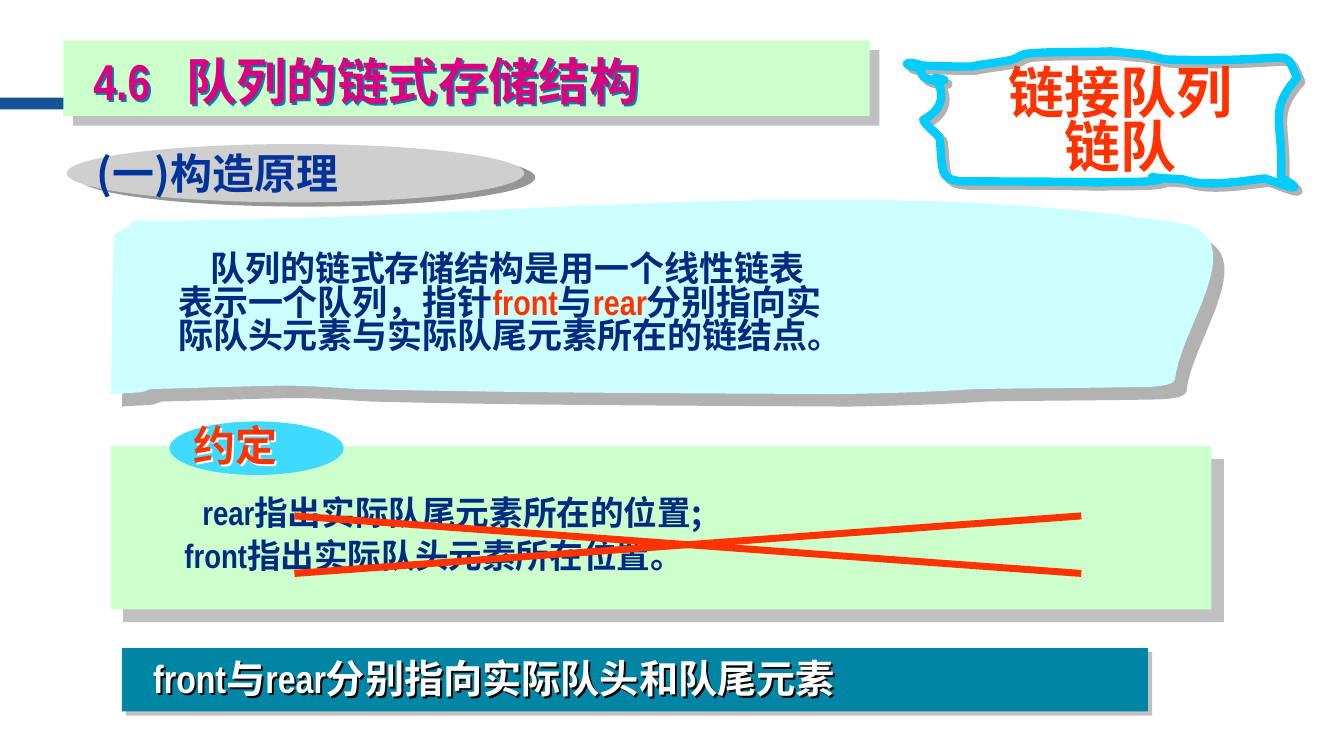
from dataclasses import dataclass

from lxml import etree
from pptx import Presentation
from pptx.dml.color import RGBColor
from pptx.enum.shapes import MSO_CONNECTOR, MSO_SHAPE
from pptx.enum.text import MSO_ANCHOR, MSO_AUTO_SIZE, PP_ALIGN
from pptx.oxml.ns import qn
from pptx.util import Cm, Pt

RECTANGLE, OVAL = MSO_SHAPE.RECTANGLE, MSO_SHAPE.OVAL
STRAIGHT = MSO_CONNECTOR.STRAIGHT
TOP = MSO_ANCHOR.TOP
GROW = MSO_AUTO_SIZE.SHAPE_TO_FIT_TEXT
LEFT, CENTER = PP_ALIGN.LEFT, PP_ALIGN.CENTER


@dataclass(frozen=True)
class Theme:
    latin: str = "Arial Narrow"
    chinese: str = "Noto Sans CJK SC"
    bar: str = "145396"
    green: str = "CCFFCC"
    pale: str = "CCFFFF"
    gray: str = "CFCFCF"
    sky: str = "3FDAFF"
    teal: str = "0085A4"
    outline: str = "00CCFF"
    red: str = "FF3300"
    magenta: str = "DC0081"
    navy: str = "002B80"
    blue: str = "003399"
    white: str = "FFFFFF"
    black: str = "000000"
    light_shadow: str = "C0C0C0"
    mid_shadow: str = "B2B2B2"
    dark_shadow: str = "969696"
    banner_size: int = 40
    title_size: int = 36
    heading_size: int = 30
    conclusion_size: int = 28
    body_size: int = 25
    rule_size: int = 24


THEME = Theme()

# Outlines in hundredths of an inch: a start, then cubic curves
SCROLL_START = (131, 219)
SCROLL_CURVES = [
    (477, 220, 832, 170, 1168, 221), (1247, 233, 1171, 324, 1166, 376),
    (1165, 383, 1144, 384, 1132, 384), (1077, 385, 1023, 385, 968, 386),
    (919, 389, 889, 390, 830, 391), (673, 390, 515, 390, 357, 386),
    (275, 381, 301, 382, 149, 386), (146, 386, 144, 389, 141, 389),
    (131, 390, 121, 390, 110, 391), (111, 340, 111, 289, 113, 238),
    (113, 226, 131, 229, 131, 219),
]
BANNER_START = (928, 77)
BANNER_CURVES = [
    (937, 91, 938, 107, 916, 119), (920, 126, 927, 130, 932, 136),
    (934, 147, 933, 159, 936, 170), (938, 176, 942, 179, 956, 180),
    (1001, 180, 1045, 180, 1090, 181), (1106, 180, 1122, 181, 1138, 180),
    (1182, 176, 1103, 174, 1174, 178), (1196, 186, 1230, 180, 1255, 177),
    (1259, 178, 1278, 186, 1283, 186), (1287, 186, 1281, 182, 1279, 181),
    (1277, 179, 1274, 178, 1271, 177), (1274, 119, 1257, 112, 1287, 77),
    (1271, 44, 1295, 63, 1158, 59), (1149, 58, 1143, 55, 1134, 54),
    (1123, 53, 1102, 51, 1102, 51), (1075, 52, 1047, 51, 1021, 53),
    (1014, 53, 1011, 57, 1005, 59), (993, 62, 977, 63, 964, 66),
    (948, 66, 932, 66, 916, 65), (911, 64, 902, 61, 900, 63),
    (898, 65, 908, 66, 912, 68), (915, 71, 913, 76, 920, 78),
    (924, 80, 932, 81, 936, 80), (940, 79, 931, 78, 928, 77),
]


def apply(target, values):
    for name, value in values.items():
        setattr(target, name, value)


def add_shadow(shape, color, distance, angle):
    shape.shadow.inherit = False
    effects = shape._element.spPr.find(qn("a:effectLst"))
    shadow = etree.SubElement(effects, qn("a:outerShdw"), dist=str(Pt(distance)),
                              dir=str(angle * 60000), algn="ctr", rotWithShape="0")
    etree.SubElement(shadow, qn("a:srgbClr"), val=color)


def style_shape(shape, fill=None, line=None, shadow=None):
    if fill:
        shape.fill.solid()
        shape.fill.fore_color.rgb = RGBColor.from_string(fill)
    else:
        shape.fill.background()
    if line:
        shape.line.color.rgb = RGBColor.from_string(line)
        shape.line.width = Pt(6)
    else:
        shape.line.fill.background()
    shape.shadow.inherit = False
    if shadow:
        add_shadow(shape, *shadow)


def add_panel(page, kind, place, fill, shadow=None):
    shape = page.shapes.add_shape(kind, *map(Cm, place))
    style_shape(shape, fill, shadow=shadow)


def add_curved(page, start, curves, **style):
    unit = Cm(0.0254)
    points = [(curve[i] * unit, curve[i + 1] * unit) for curve in curves for i in (0, 2, 4)]
    builder = page.shapes.build_freeform(start[0] * unit, start[1] * unit)
    builder.add_line_segments(points, close=True)
    shape = builder.convert_to_shape()
    # Every three straight segments become one cubic curve
    segments = list(shape._element.iter(qn("a:lnTo")))
    for first in range(0, len(points), 3):
        cubic = etree.Element(qn("a:cubicBezTo"))
        segments[first].addprevious(cubic)
        for segment in segments[first:first + 3]:
            cubic.append(segment[0])
            segment.getparent().remove(segment)
    style_shape(shape, **style)


def add_span(para, text, size, color, font):
    span = para.add_run()
    span.text = text
    apply(span.font, {"size": Pt(size), "bold": True, "name": font})
    span.font.color.rgb = RGBColor.from_string(color)
    east = etree.Element(qn("a:ea"), typeface=THEME.chinese)
    span.font._element.find(qn("a:latin")).addnext(east)


def fill_text(box, place, lines, size, color, *, inset=0.25, wrap=True, shadow=None, **layout):
    """Each line is a list of (text, font) or (text, font, color) spans."""
    apply(box, dict(zip(("left", "top", "width", "height"), map(Cm, place))))
    if shadow:
        box.fill.background()
        add_shadow(box, shadow, 2, 45)
    frame = box.text_frame
    apply(frame, {"word_wrap": wrap, "auto_size": GROW, "vertical_anchor": TOP,
                  "margin_left": Cm(inset)})
    for number, line in enumerate(lines):
        para = frame.add_paragraph() if number else frame.paragraphs[0]
        apply(para, {"alignment": LEFT, **layout})
        for text, font, *accent in line:
            add_span(para, text, size, accent[0] if accent else color, font)
    return frame


def add_text(page, place, *content, **layout):
    return fill_text(page.shapes.add_textbox(0, 0, 0, 0), place, *content, **layout)


def add_stroke(page, *ends):
    stroke = page.shapes.add_connector(STRAIGHT, *map(Cm, ends))
    stroke.line.color.rgb = RGBColor.from_string(THEME.red)
    stroke.line.width = Pt(5)
    etree.SubElement(stroke._element.spPr, qn("a:effectLst"))


def main():
    deck = Presentation()
    apply(deck, {"slide_width": Cm(33.87), "slide_height": Cm(19.05)})
    page = deck.slides.add_slide(deck.slide_layouts[5])
    latin, chinese = THEME.latin, THEME.chinese

    # Edge bar and explanation
    add_panel(page, RECTANGLE, (0, 2.46, 9.45, 0.3), THEME.bar)
    add_curved(page, SCROLL_START, SCROLL_CURVES, fill=THEME.pale,
               shadow=(THEME.mid_shadow, 12, 48))
    frame = add_text(page, (4.24, 6.3, 25.76, 2.79), [
        [("队列的链式存储结构是用一个线性链表", chinese)],
        [("表示一个队列，指针", chinese), ("front", latin, THEME.red), ("与", chinese),
         ("rear", latin, THEME.red), ("分别指向实", chinese)],
        [("际队头元素与实际队尾元素所在的链结点。", chinese)],
    ], THEME.body_size, THEME.navy, line_spacing=0.8)
    frame.paragraphs[0]._p.get_or_add_pPr().set("indent", str(Cm(0.81)))

    # Title, raised above its panel
    add_panel(page, RECTANGLE, (1.6, 1.02, 20.32, 1.9), THEME.green, (THEME.light_shadow, 9.9, 45))
    title = page.shapes.title
    page.shapes._spTree.append(title._element)
    frame = fill_text(title, (1.8, 1.14, 21.54, 1.78), [[("4.6\t队列的链式存储结构", latin)]],
                      THEME.title_size, THEME.magenta, inset=0.55, shadow=THEME.teal)
    tabs = etree.SubElement(frame.paragraphs[0]._p.get_or_add_pPr(), qn("a:tabLst"))
    etree.SubElement(tabs, qn("a:tab"), pos=str(Cm(2.34)), algn="l")

    # Section heading
    add_panel(page, OVAL, (1.68, 3.63, 11.53, 1.47), THEME.gray, (THEME.dark_shadow, 8.5, 21))
    add_text(page, (2.18, 3.6, 10.41, 1.55), [[("(一)构造原理", chinese)]],
             THEME.heading_size, THEME.blue)

    # Convention, crossed out
    add_panel(page, RECTANGLE, (2.79, 11.25, 27.74, 4.11), THEME.green,
              (THEME.light_shadow, 12.7, 45))
    add_text(page, (4.85, 12.27, 21.03, 1.27),
             [[("rear", latin), ("指出实际队尾元素所在的位置;", chinese)]],
             THEME.rule_size, THEME.navy)
    add_text(page, (4.22, 13.36, 13.72, 1.3),
             [[("front", latin), ("指出实际队头元素所在位置。", chinese)]],
             THEME.rule_size, THEME.navy, inset=0.43, wrap=False)
    add_panel(page, OVAL, (4.27, 10.62, 4.39, 1.35), THEME.sky)
    add_text(page, (4.62, 10.44, 4.52, 1.52), [[("约定", latin)]],
             THEME.heading_size, THEME.red, shadow=THEME.white)
    add_stroke(page, 7.42, 13, 27.25, 14.45)

    # Banner with the short names
    add_curved(page, BANNER_START, BANNER_CURVES, line=THEME.outline,
               shadow=(THEME.mid_shadow, 4.2, 45))
    add_text(page, (23.67, 1.65, 9.12, 2.97), [[("链接队列", latin)], [("链队", latin)]],
             THEME.banner_size, THEME.red, alignment=CENTER, line_spacing=0.8)

    # Second stroke of the cross
    add_stroke(page, 27.25, 13, 7.42, 14.45)

    # Conclusion
    add_panel(page, RECTANGLE, (3.07, 16.33, 25.86, 1.6), THEME.teal, (THEME.light_shadow, 4.2, 45))
    add_text(page, (3.61, 16.36, 25.86, 1.45),
             [[("front", latin), ("与", chinese), ("rear", latin),
               ("分别指向实际队头和队尾元素", chinese)]],
             THEME.conclusion_size, THEME.white, shadow=THEME.black)

    deck.save("out.pptx")


if __name__ == "__main__":
    main()
